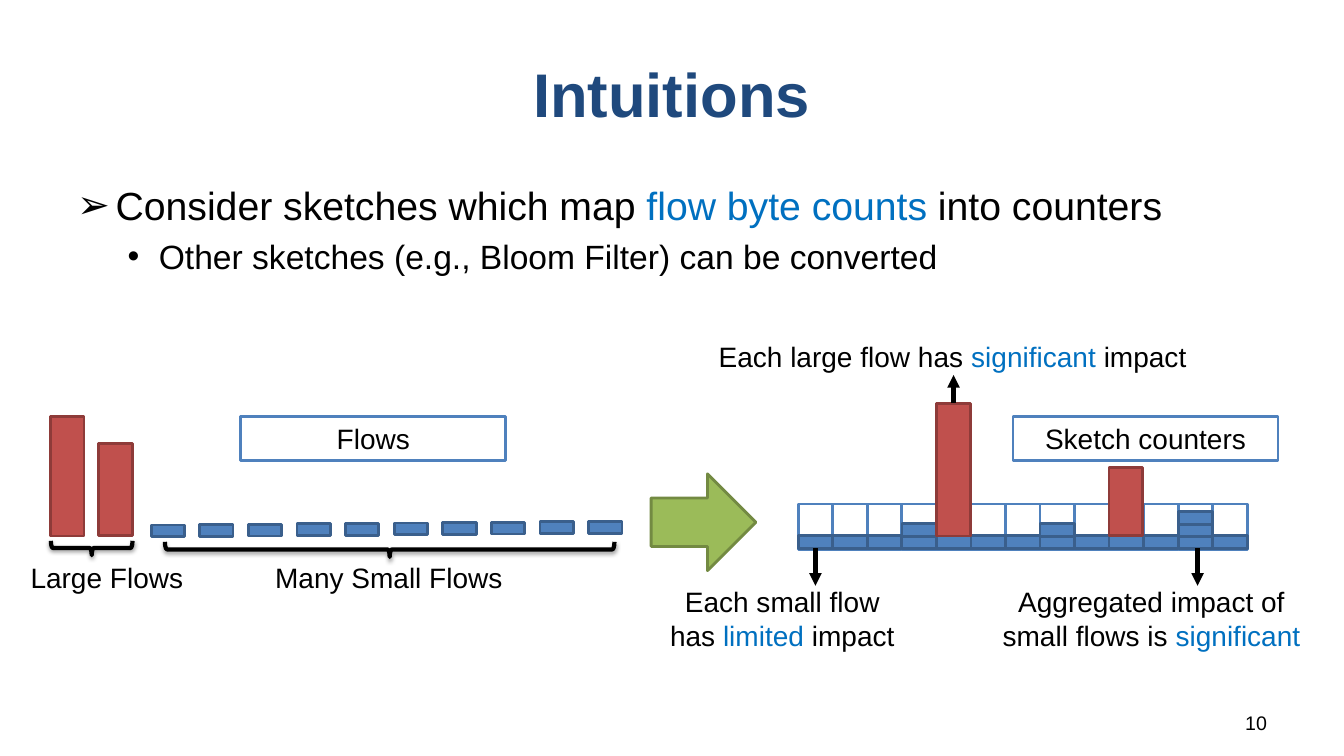
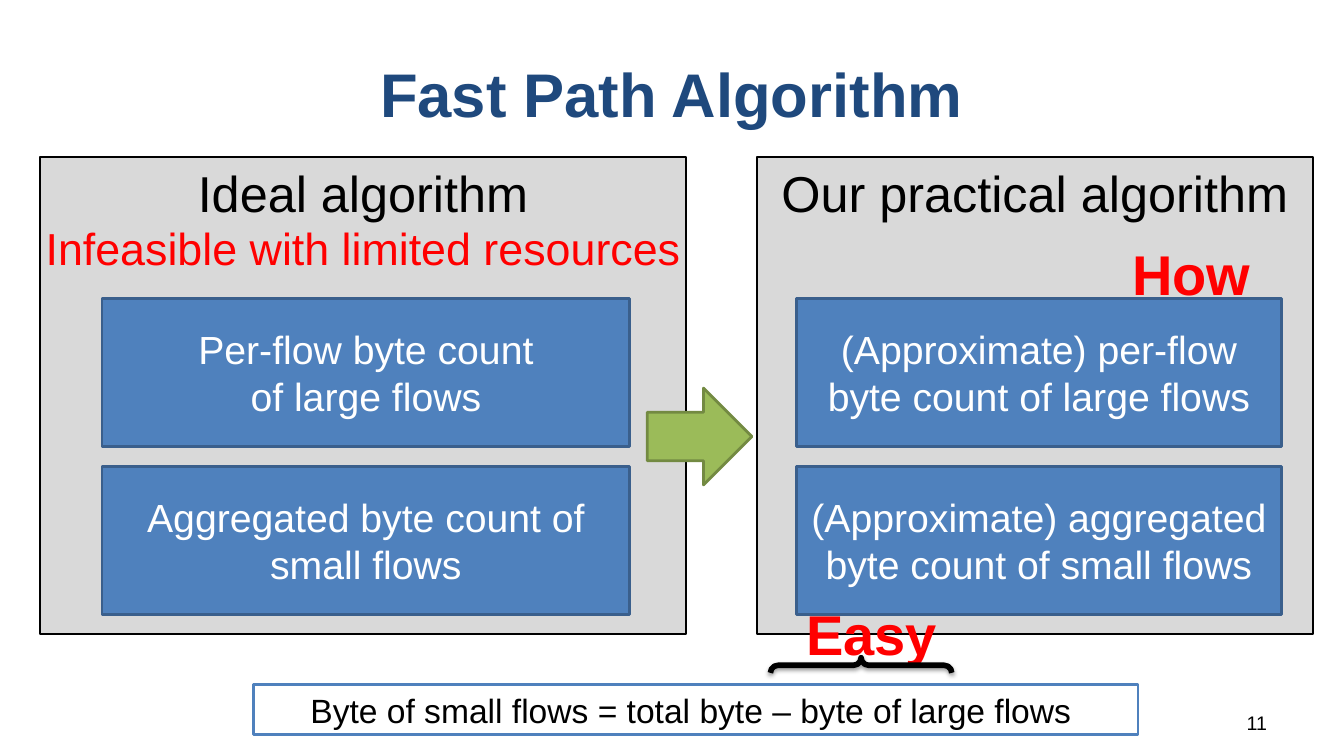
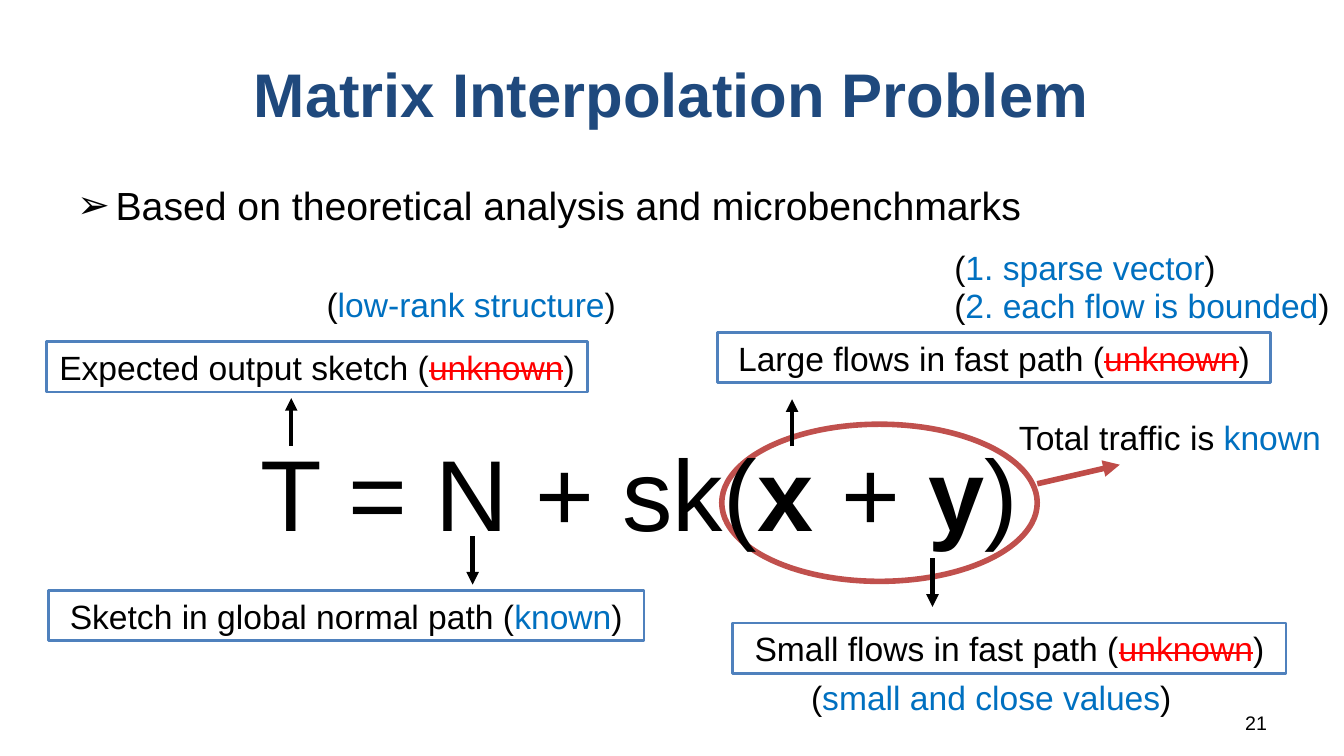
"""Build three slides on sketches, the fast path and matrix interpolation."""
from pptx import Presentation
from pptx import util as u
from pptx.dml import color as c
from pptx.enum import shapes, text
from pptx.oxml import parse_xml

Cm, Pt = u.Cm, u.Pt
hue = c.RGBColor.from_string
Form, Align = shapes.MSO_SHAPE, text.PP_ALIGN
NS = 'xmlns:a="http://schemas.openxmlformats.org/drawingml/2006/main"'
BLACK, INK, LINK, ALERT = "000000", "1F497D", "0070C0", "FF0000"
RED = "C0504D", "8E3B39"
BLUE = "4F81BD", "3A5F8C"
GREEN = "9BBB59", "738A42"
LABEL = "FFFFFF", "4F81BD"
PANEL = "D9D9D9", BLACK


def draw(page, form, at, look=(None, None), width=2):
    spot = [Cm(n) for n in at]
    if form is None:
        return page.shapes.add_textbox(*spot)
    item = page.shapes.add_shape(form, *spot)
    item.shadow.inherit = False
    fill, edge = look
    if fill:
        item.fill.solid()
        item.fill.fore_color.rgb = hue(fill)
    else:
        item.fill.background()
    item.line.color.rgb = hue(edge)
    item.line.width = Pt(width)
    return item


def write(item, lines, size, tone=BLACK, mark=LINK, align=Align.CENTER,
          wrap=True, mid=False, bold=False):
    frame = item.text_frame
    frame.word_wrap = wrap
    frame.vertical_anchor = text.MSO_ANCHOR.MIDDLE if mid else text.MSO_ANCHOR.TOP
    for i, line in enumerate(lines):
        para = frame.add_paragraph() if i else frame.paragraphs[0]
        para.alignment = align
        font = para.font
        font.name, font.size, font.bold = "Arial", Pt(size), bold
        font.color.rgb = hue(tone)
        for k, bit in enumerate(line.split("*")):
            if not bit:
                continue
            run = para.add_run()
            run.text = bit
            if bit == "unknown":
                run.font.color.rgb = hue(ALERT)
                run._r.get_or_add_rPr().set("strike", "sngStrike")
            elif k % 2:
                run.font.color.rgb = hue(mark)
    return frame.paragraphs


deck = Presentation()
deck.slide_width, deck.slide_height = Cm(33.87), Cm(19.05)

pages, spaced = [], []
for title, number, points, height in [
    ("Intuitions", "10",
     ["Consider sketches which map *flow byte counts* into counters",
      "Other sketches (e.g., Bloom Filter) can be converted"], 12.57),
    ("Fast Path Algorithm", "11", [], 0),
    ("Matrix Interpolation Problem", "21",
     ["Based on theoretical analysis and microbenchmarks"], 2.79),
]:
    page = deck.slides.add_slide(deck.slide_layouts[1 if points else 5])
    pages.append(page)
    head = page.shapes.title
    head.left, head.top, head.width, head.height = Cm(1.69), Cm(0.76), Cm(30.48), Cm(3.18)
    write(head, [title], 44, INK, mid=True, bold=True)
    if points:
        body = page.placeholders[1]
        body.left, body.top, body.width, body.height = Cm(1.69), Cm(4.45), Cm(30.48), Cm(height)
        paras = write(body, points, 28, align=Align.LEFT)
        spaced.append(paras[0])
        for level, para in enumerate(paras):
            para.level = level
            para.font.size = Pt((28, 24)[level])
            left, hang, sign = ((0.97, -0.97, "➢"), (2.06, -0.79, "•"))[level]
            props = para._p.get_or_add_pPr()
            props.set("marL", str(Cm(left)))
            props.set("indent", str(Cm(hang)))
            props.insert(0, parse_xml(f'<a:buChar {NS} char="{sign}"/>'))
            props.insert(0, parse_xml(f'<a:buFont {NS} typeface="Arial"/>'))
    write(draw(page, None, (24.28, 17.78, 7.9, 0.89)), [number], 14, align=Align.RIGHT)

flows, paths, matrix = pages

draw(flows, Form.RIGHT_ARROW, (16.41, 11.94, 2.64, 2.44), GREEN)
left, step = 20.12, 0.87
stacks = [1, 1, 1, 2, 1, 1, 1, 2, 1, 1, 1, 3, 1]
for i in range(len(stacks)):
    draw(flows, Form.RECTANGLE, (left + i * step, 12.7, step, 1.14), LABEL)
for i, count in enumerate(stacks):
    for k in range(count):
        draw(flows, Form.RECTANGLE, (left + i * step, 13.49 - 0.3 * k, step, 0.33), BLUE)
for x, y, high in [(left + 4 * step, 10.16, 3.35), (left + 9 * step, 11.79, 1.7),
                   (1.27, 10.49, 3.02), (2.49, 11.18, 2.31)]:
    draw(flows, Form.RECTANGLE, (x, y, 0.85, high), RED)
for i in range(10):
    draw(flows, Form.RECTANGLE, (3.81 + 1.225 * i, 13.23 - 0.01 * i, 0.84, 0.3), BLUE)
for at, lines in [
    ((17.63, 8.43, 12.75, 1.12), ["Each large flow has *significant* impact"]),
    ((24.74, 14.61, 8.56, 1.96), ["Aggregated impact of small flows is *significant*"]),
    ((15.09, 14.61, 9.25, 1.96), ["Each small flow", "has *limited* impact"]),
    ((0.51, 14, 4.37, 1.12), ["Large Flows"]),
    ((6.6, 14, 6.4, 1.12), ["Many Small Flows"]),
]:
    write(draw(flows, None, at), lines, 20)
for x, name in [(25.53, "Sketch counters"), (6.07, "Flows")]:
    write(draw(flows, Form.RECTANGLE, (x, 10.49, 6.68, 1.12), LABEL), [name], 20)

for x, wide, name, inner, span, parts in [
    (1.02, 16.26, "Ideal algorithm", 2.57, 13.3,
     [["Per-flow byte count", "of large flows"],
      ["Aggregated byte count of small flows"]]),
    (19.08, 14, "Our practical algorithm", 20.07, 12.22,
     [["(Approximate) per-flow byte count of large flows"],
      ["(Approximate) aggregated byte count of small flows"]]),
]:
    write(draw(paths, Form.RECTANGLE, (x, 3.96, wide, 12.01), PANEL, 1.5), [name], 36)
    for k, lines in enumerate(parts):
        box = draw(paths, Form.RECTANGLE, (inner, 7.52 + 4.24 * k, span, 3.73), BLUE)
        write(box, lines, 28, "FFFFFF", mid=True)
draw(paths, Form.RIGHT_ARROW, (16.31, 9.78, 2.64, 2.44), GREEN)
for at, line, size in [
    ((0.69, 5.44, 16.94, 1.63), "Infeasible with limited resources", 32),
    ((19.94, 14.99, 4.06, 1.96), "Easy", 40),
    ((27.99, 5.92, 4.06, 1.96), "How", 40),
]:
    write(draw(paths, None, at), [line], size, ALERT, bold=size == 40)
write(draw(paths, Form.RECTANGLE, (6.38, 17.25, 22.3, 1.27), LABEL),
      ["Byte of small flows = total byte – byte of large flows "], 24)

draw(matrix, Form.OVAL, (18.19, 10.69, 7.95, 3.96), ("FFFFFF", RED[0]), 4)
for x, y, wide, line in [
    (1.17, 8.61, 13.64, "Expected output sketch (*unknown*)"),
    (1.22, 14.88, 15.01, "Sketch in global normal path (*known*)"),
    (18.08, 8.38, 13.94, "Large flows in fast path (*unknown*)"),
    (18.47, 15.7, 13.94, "Small flows in fast path (*unknown*)"),
]:
    write(draw(matrix, Form.RECTANGLE, (x, y, wide, 1.27), LABEL), [line], 24)
for x, y, wide, line in [
    (7.98, 7.04, 7.87, "(*low-rank structure*)"),
    (23.8, 6.1, 7.16, "(*1. sparse vector*)"),
    (23.8, 7.06, 10.08, "(*2. each flow is bounded*)"),
    (20.19, 16.92, 9.7, "(*small and close values*)"),
    (25.43, 10.39, 8.2, "Total traffic is *known*"),
]:
    write(draw(matrix, None, (x, y, wide, 1.27)), [line], 24, align=Align.LEFT, wrap=False)
sums = write(draw(matrix, None, (6.32, 10.72, 21.11, 3.35)),
             ["T = N + sk(*x* + *y*)"], 72, mark=BLACK, align=Align.LEFT)[0]
for run in sums.runs:
    run.font.bold = run.text in ("x", "y")
spaced.append(sums)

for para in spaced:
    para._p.get_or_add_pPr().insert(
        0, parse_xml(f'<a:spcBef {NS}><a:spcPct val="50000"/></a:spcBef>'))

for page, form, at, bend, width in [
    (flows, Form.RIGHT_BRACE, (2.13, 12.78, 0.36, 2.06), 0.139, 3),
    (flows, Form.RIGHT_BRACE, (9.63, 8.18, 0.38, 11.33), 0.139, 3),
    (paths, Form.LEFT_BRACE, (21.51, 14.48, 0.38, 4.57), 0.506, 4),
]:
    brace = draw(page, form, at, (None, BLACK), width)
    brace.rotation = 90
    brace.adjustments[0] = bend
    brace._element.spPr.find("{*}effectLst").append(parse_xml(
        f'<a:outerShdw {NS} blurRad="40000" dist="20000" dir="5400000" rotWithShape="0">'
        '<a:srgbClr val="000000"><a:alpha val="38000"/></a:srgbClr></a:outerShdw>'))

for page, x, y, right, low, tone, width in [
    (flows, 30.18, 13.82, 30.18, 14.76, BLACK, 3),
    (flows, 24.03, 10.16, 24.03, 9.45, BLACK, 3),
    (flows, 20.55, 13.82, 20.55, 14.76, BLACK, 3),
    (matrix, 7.34, 11.23, 7.34, 10.03, BLACK, 3),
    (matrix, 11.91, 13.51, 11.91, 14.73, BLACK, 3),
    (matrix, 19.96, 11.25, 19.96, 10.06, BLACK, 3),
    (matrix, 23.5, 14.07, 23.5, 15.29, BLACK, 3),
    (matrix, 26.14, 12.19, 28.22, 11.71, "BF4C48", 4),
]:
    arrow = page.shapes.add_connector(shapes.MSO_CONNECTOR.STRAIGHT,
                                      Cm(x), Cm(y), Cm(right), Cm(low))
    arrow.line.color.rgb = hue(tone)
    arrow.line.width = Pt(width)
    props = arrow._element.spPr
    props.find("{*}ln").append(parse_xml(f'<a:tailEnd {NS} type="triangle"/>'))
    props.append(parse_xml(f"<a:effectLst {NS}/>"))

deck.save("out.pptx")
